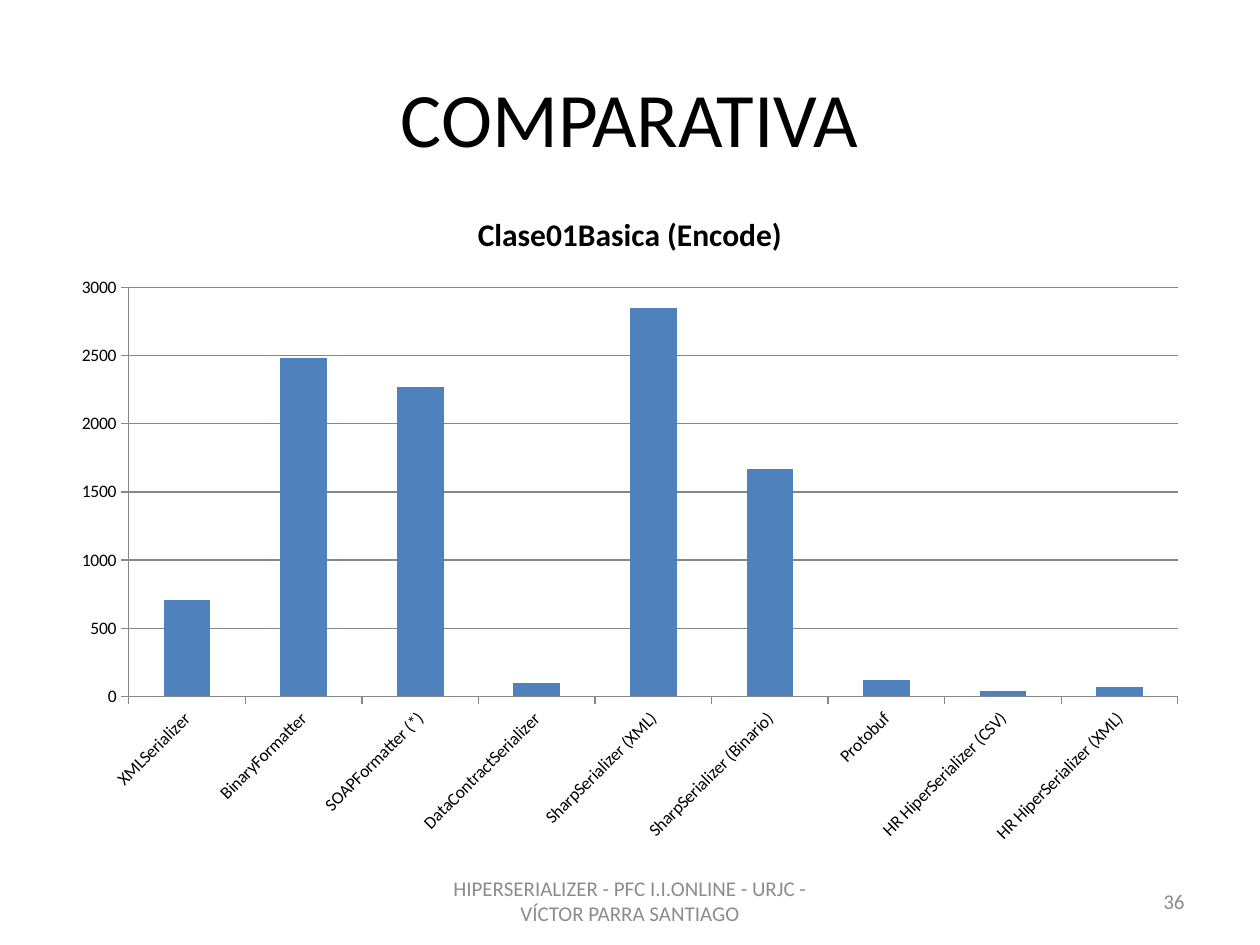
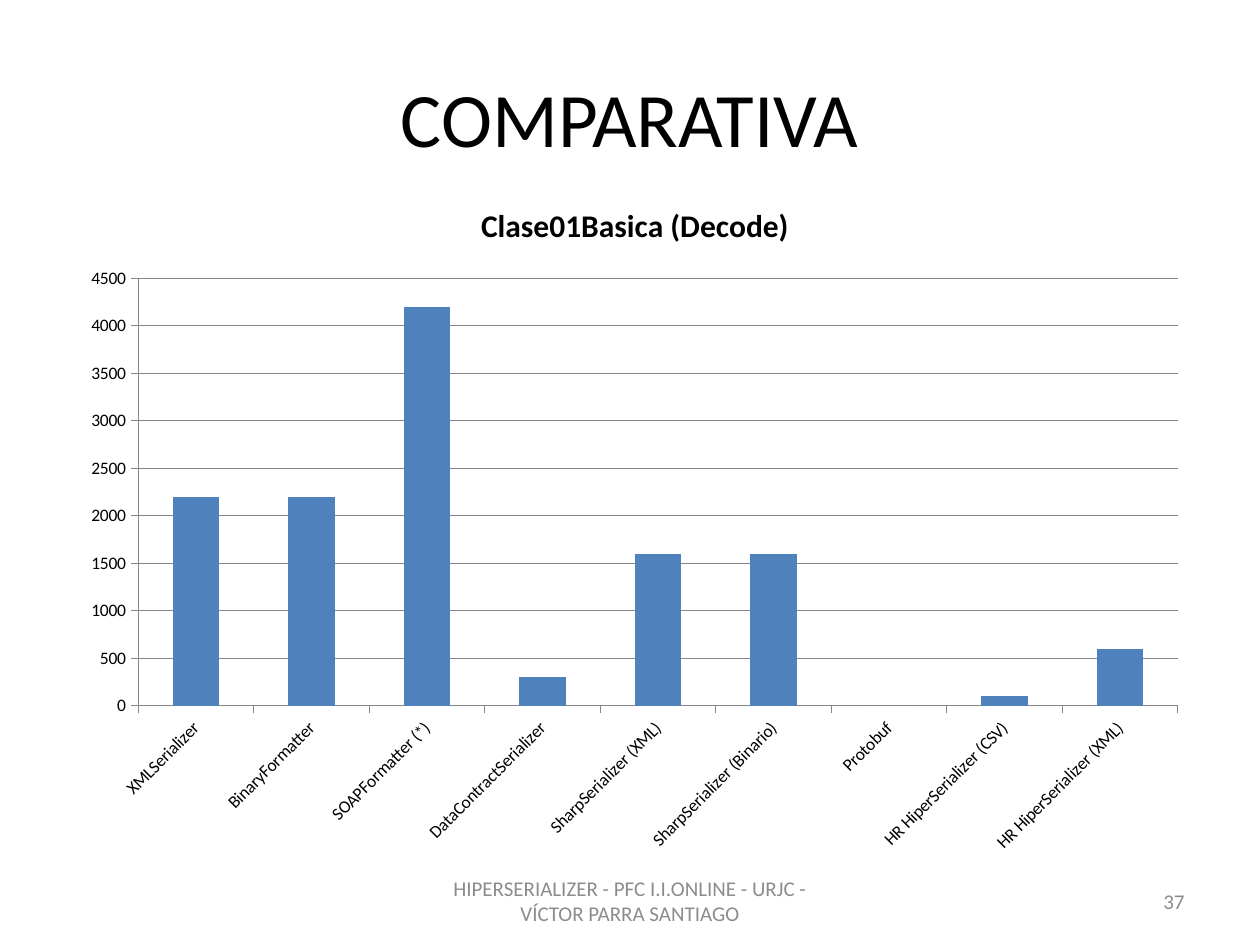
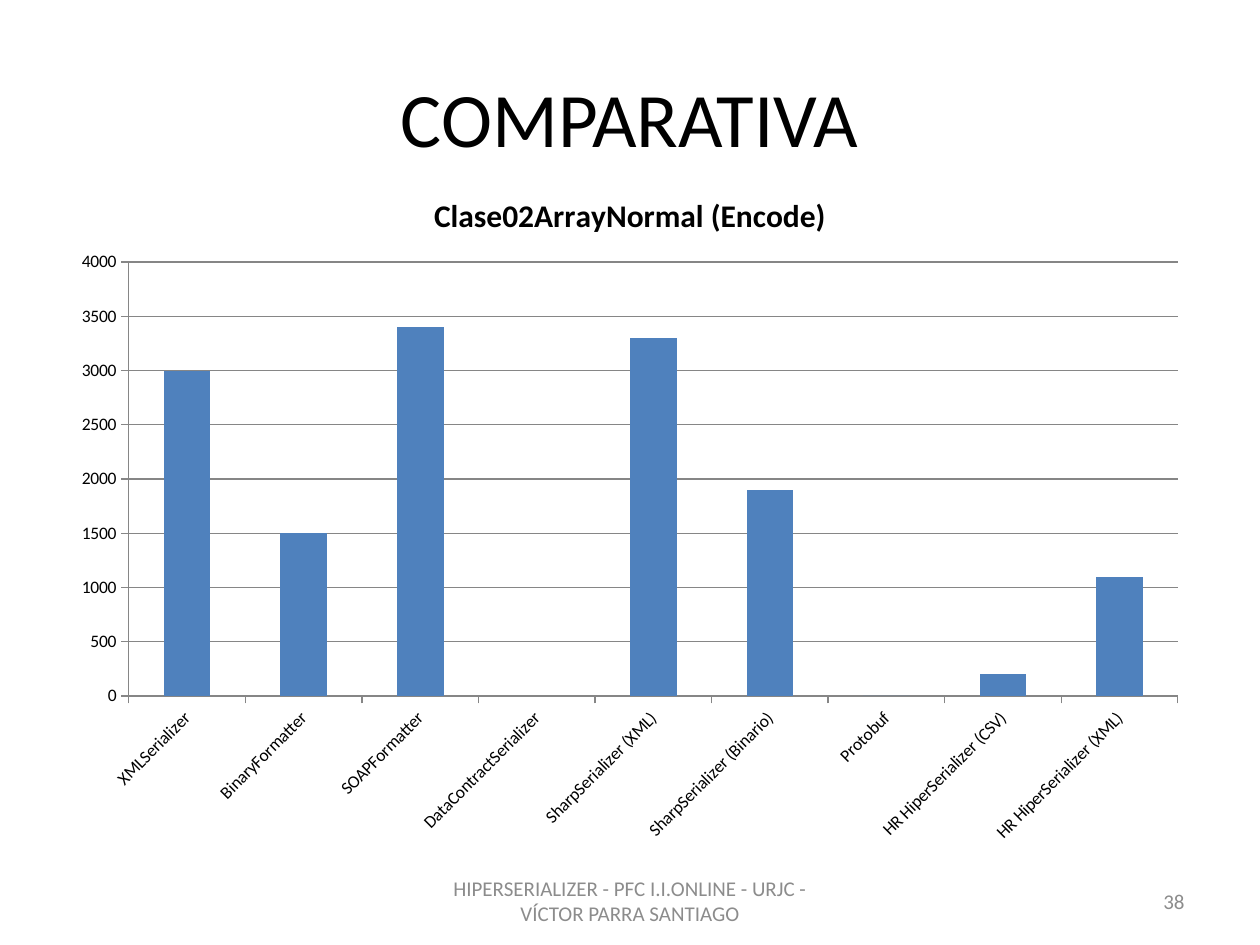
from lxml.etree import SubElement
from pptx import Presentation
from pptx.chart.data import CategoryChartData
from pptx.dml.color import RGBColor
from pptx.enum.chart import XL_CHART_TYPE, XL_TICK_MARK
from pptx.enum.text import MSO_ANCHOR, PP_ALIGN
from pptx.oxml.ns import qn
from pptx.util import Pt

BLACK = RGBColor(0x00, 0x00, 0x00)
FOOTER_GRAY = RGBColor(0x8C, 0x8C, 0x8C)
AXIS_GRAY = RGBColor(0x86, 0x86, 0x86)
BAR_BLUE = RGBColor(0x4F, 0x81, 0xBD)

FONT = "Calibri"
TITLE = "COMPARATIVA"
FOOTER = "HIPERSERIALIZER - PFC I.I.ONLINE - URJC - VÍCTOR PARRA SANTIAGO"
FIRST_PAGE_NUMBER = 36
LABEL_ROTATION = -45 * 60000  # in 60000ths of a degree


def serializers(soap_label):
    return ["XMLSerializer", "BinaryFormatter", soap_label,
            "DataContractSerializer", "SharpSerializer (XML)",
            "SharpSerializer (Binario)", "Protobuf",
            "HR HiperSerializer (CSV)", "HR HiperSerializer (XML)"]


# Chart title, chart place and plot place (left, top, width, height),
# SOAP label, axis maximum, values
COMPARISONS = [
    ("Clase01Basica (Encode)", (33.84, 106.56, 652.32, 382.32),
     (73.6, 164.3, 599.5, 233.7), "SOAPFormatter (*)", 3000,
     [710, 2480, 2270, 100, 2850, 1670, 120, 40, 70]),
    ("Clase01Basica (Decode)", (39.6, 101.52, 646.56, 393.84),
     (79, 159, 594.1, 244.4), "SOAPFormatter (*)", 4500,
     [2200, 2200, 4200, 300, 1600, 1600, 0, 100, 600]),
    ("Clase02ArrayNormal (Encode)", (33.84, 95.76, 652.32, 393.84),
     (73.6, 149.8, 599.5, 248), "SOAPFormatter", 4000,
     [3000, 1500, 3400, None, 3300, 1900, 0, 200, 1100]),
]


class DeckBuilder:
    """Holds the deck, its style and the current page."""

    def __init__(self):
        self.deck = Presentation()
        self.deck.slide_width, self.deck.slide_height = Pt(720), Pt(540)
        self.page = None

    def add_page(self, number):
        """Start a page with the shared title, footer and page number."""
        self.page = self.deck.slides.add_slide(self.deck.slide_layouts[6])
        self.add_text(TITLE, (36, 21.6, 648, 90), 44, BLACK, PP_ALIGN.CENTER)
        self.add_text(FOOTER, (246, 500.5, 228, 28.75), 12, FOOTER_GRAY, PP_ALIGN.CENTER)
        self.add_text(str(number), (516, 500.5, 168, 28.75), 12, FOOTER_GRAY, PP_ALIGN.RIGHT)

    def add_text(self, text, place, size, color, alignment):
        box = self.page.shapes.add_textbox(*map(Pt, place))
        frame = box.text_frame
        frame.word_wrap = True
        frame.vertical_anchor = MSO_ANCHOR.MIDDLE
        para = frame.paragraphs[0]
        para.alignment = alignment
        span = para.add_run()
        span.text = text
        self.style_font(span.font, size, color)

    def style_font(self, font, size, color, bold=False):
        font.name, font.size, font.bold = FONT, Pt(size), bold
        font.color.rgb = color

    def style_line(self, line):
        line.color.rgb = AXIS_GRAY
        line.width = Pt(0.75)

    def add_column_chart(self, title, place, plot_place, categories, maximum, values):
        data = CategoryChartData()
        data.categories = categories
        data.add_series(title, values)
        chart = self.page.shapes.add_chart(
            XL_CHART_TYPE.COLUMN_CLUSTERED, *map(Pt, place), data).chart
        self.style_font(chart.font, 10, BLACK)
        chart.has_legend = False
        self.add_chart_title(chart, title)

        plot = chart.plots[0]
        plot.gap_width = 150
        plot.vary_by_categories = False
        fill = plot.series[0].format.fill
        fill.solid()
        fill.fore_color.rgb = BAR_BLUE
        self.style_axes(chart, maximum)
        self.place_plot(chart, place, plot_place)

    def add_chart_title(self, chart, title):
        chart.has_title = True
        span = chart.chart_title.text_frame.paragraphs[0].add_run()
        span.text = title
        self.style_font(span.font, 18, BLACK, bold=True)
        chart.chart_title.include_in_layout = False

    def style_axes(self, chart, maximum):
        for axis in (chart.category_axis, chart.value_axis):
            axis.major_tick_mark = XL_TICK_MARK.OUTSIDE
            axis.minor_tick_mark = XL_TICK_MARK.NONE
            self.style_line(axis.format.line)
            self.style_font(axis.tick_labels.font, 10, BLACK)
        label_body = chart.category_axis._element.txPr.bodyPr
        label_body.set("rot", str(LABEL_ROTATION))
        label_body.set("vert", "horz")

        value_axis = chart.value_axis
        value_axis.minimum_scale, value_axis.maximum_scale = 0, maximum
        value_axis.major_unit = 500
        value_axis.has_major_gridlines = True
        self.style_line(value_axis.major_gridlines.format.line)

    def place_plot(self, chart, place, plot_place):
        """Set the inner plot area, given in points on the page."""
        left, top, width, height = place
        plot_left, plot_top, plot_width, plot_height = plot_place
        settings = {
            "layoutTarget": "inner", "xMode": "edge", "yMode": "edge",
            "x": (plot_left - left) / width, "y": (plot_top - top) / height,
            "w": plot_width / width, "h": plot_height / height,
        }
        plot_area = chart._chartSpace.chart.plotArea
        for old_layout in plot_area.findall(qn("c:layout")):
            plot_area.remove(old_layout)
        layout = SubElement(plot_area, qn("c:layout"))
        plot_area.insert(0, layout)
        manual = SubElement(layout, qn("c:manualLayout"))
        for name, value in settings.items():
            SubElement(manual, qn(f"c:{name}")).set("val", str(value))


def main():
    builder = DeckBuilder()
    for number, comparison in enumerate(COMPARISONS, FIRST_PAGE_NUMBER):
        title, place, plot_place, soap_label, maximum, values = comparison
        builder.add_page(number)
        builder.add_column_chart(
            title, place, plot_place, serializers(soap_label), maximum, values)
    builder.deck.save("out.pptx")


if __name__ == "__main__":
    main()
